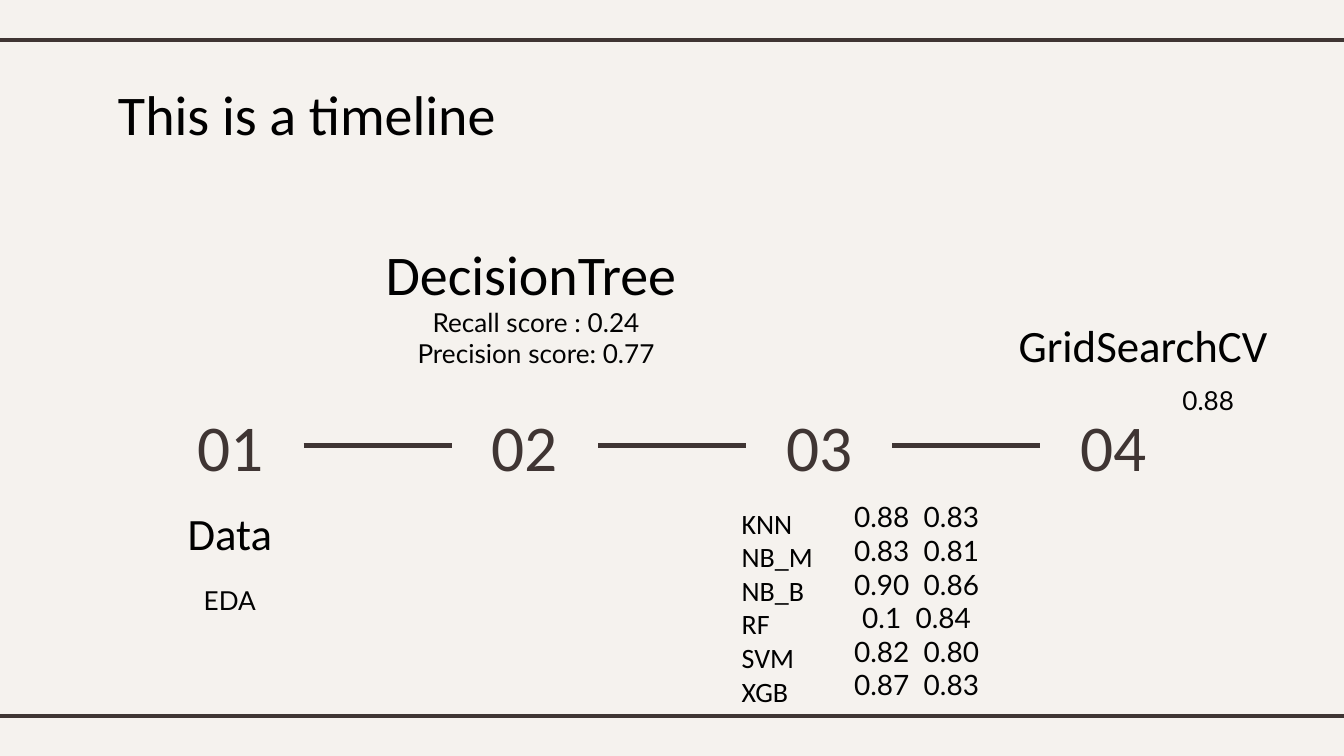
import lxml.etree
import pptx
import pptx.dml.color
import pptx.enum.shapes
import pptx.enum.text
import pptx.oxml.ns
import pptx.util

ALIGN = pptx.enum.text.PP_ALIGN
ANCHOR = pptx.enum.text.MSO_ANCHOR
RGB = pptx.dml.color.RGBColor.from_string

THEME = {
    "background": RGB("F5F2EE"),
    "rule": RGB("3F3533"),
    "rule_width": pptx.util.Pt(2.25),
    "title": {"name": "Calibri", "size": pptx.util.Pt(30), "color": RGB("000000")},
    "heading": {"name": "Calibri", "size": pptx.util.Pt(24), "color": RGB("000000")},
    "models": {"name": "Calibri", "size": pptx.util.Pt(15), "color": RGB("000000")},
    "number": {"name": "Calibri", "size": pptx.util.Pt(35), "color": RGB("3F3533")},
    "scores": {"name": "Lato", "size": pptx.util.Pt(15), "color": RGB("020202")},
    "detail": {"name": "Lato", "size": pptx.util.Pt(14), "color": RGB("020202")},
}

deck = pptx.Presentation()
deck.slide_width = pptx.util.Inches(10)
deck.slide_height = pptx.util.Inches(5.625)
column = deck.slide_width / 100
row = deck.slide_height / 56.25

page = deck.slides.add_slide(deck.slide_layouts[6])
page.background.fill.solid()
page.background.fill.fore_color.rgb = THEME["background"]


def add_text(left, top, width, height, lines, style, align, anchor):
    box = page.shapes.add_textbox(
        round(left * column), round(top * row), round(width * column), round(height * row)
    )
    frame = box.text_frame
    frame_format = {"word_wrap": True, "vertical_anchor": anchor}
    for side in ("left", "top", "right", "bottom"):
        frame_format["margin_" + side] = pptx.util.Inches(0.1)
    for name, value in frame_format.items():
        setattr(frame, name, value)
    frame.text = "\n".join(lines)
    for para in frame.paragraphs:
        para.alignment = align
        for span in para.runs:
            for name, value in THEME[style].items():
                if name == "color":
                    span.font.color.rgb = value
                else:
                    setattr(span.font, name, value)
    return box


def add_rule(left, right, height):
    rule = page.shapes.add_connector(
        pptx.enum.shapes.MSO_CONNECTOR.STRAIGHT,
        round(left * column), round(height * row), round(right * column), round(height * row),
    )
    rule.line.color.rgb = THEME["rule"]
    rule.line.width = THEME["rule_width"]
    properties = rule._element.spPr
    lxml.etree.SubElement(properties, pptx.oxml.ns.qn("a:effectLst"))
    return rule


for height in (3, 53.3):
    add_rule(0, 100, height)

step_left, step_pitch, step_width = 11.7, 21.9, 10.9
steps = []
for index in range(4):
    steps.append(add_text(
        step_left + index * step_pitch, 29.5, step_width, 7.3,
        [f"{index + 1:02d}"], "number", ALIGN.CENTER, ANCHOR.MIDDLE,
    ))

for before, after in zip(steps, steps[1:]):
    link = add_rule(0, 1, 33.2)
    link.begin_connect(before, 3)
    link.end_connect(after, 1)

models = ["KNN", "NB_M", "NB_B", "RF", "SVM", "XGB"]
scores = ["0.88  0.83", "0.83  0.81", "0.90  0.86", "0.1  0.84", "0.82  0.80", "0.87  0.83"]
tree_scores = ["Recall score : 0.24", "Precision score: 0.77"]

texts = [
    (7.8, 4.9, 84.4, 6.3, ["This is a timeline"], "title", ALIGN.LEFT, ANCHOR.TOP),
    (5.8, 37.7, 22.6, 3.9, ["Data"], "heading", ALIGN.CENTER, ANCHOR.MIDDLE),
    (7.7, 42.5, 18.8, 6.3, ["EDA"], "detail", ALIGN.CENTER, ANCHOR.TOP),
    (27.7, 18.4, 26.5, 3.9, ["DecisionTree"], "title", ALIGN.LEFT, ANCHOR.MIDDLE),
    (28.6, 21.8, 22.6, 6.3, tree_scores, "detail", ALIGN.CENTER, ANCHOR.TOP),
    (54.2, 43.2, 18.8, 3.9, models, "models", ALIGN.LEFT, ANCHOR.MIDDLE),
    (58.8, 36.2, 18.8, 6.3, scores, "scores", ALIGN.CENTER, ANCHOR.TOP),
    (73.4, 23.7, 23.3, 3.9, ["GridSearchCV"], "heading", ALIGN.CENTER, ANCHOR.MIDDLE),
    (80.5, 27.6, 18.8, 6.3, ["0.88"], "detail", ALIGN.CENTER, ANCHOR.TOP),
]
for text in texts:
    add_text(*text)

deck.save("out.pptx")
